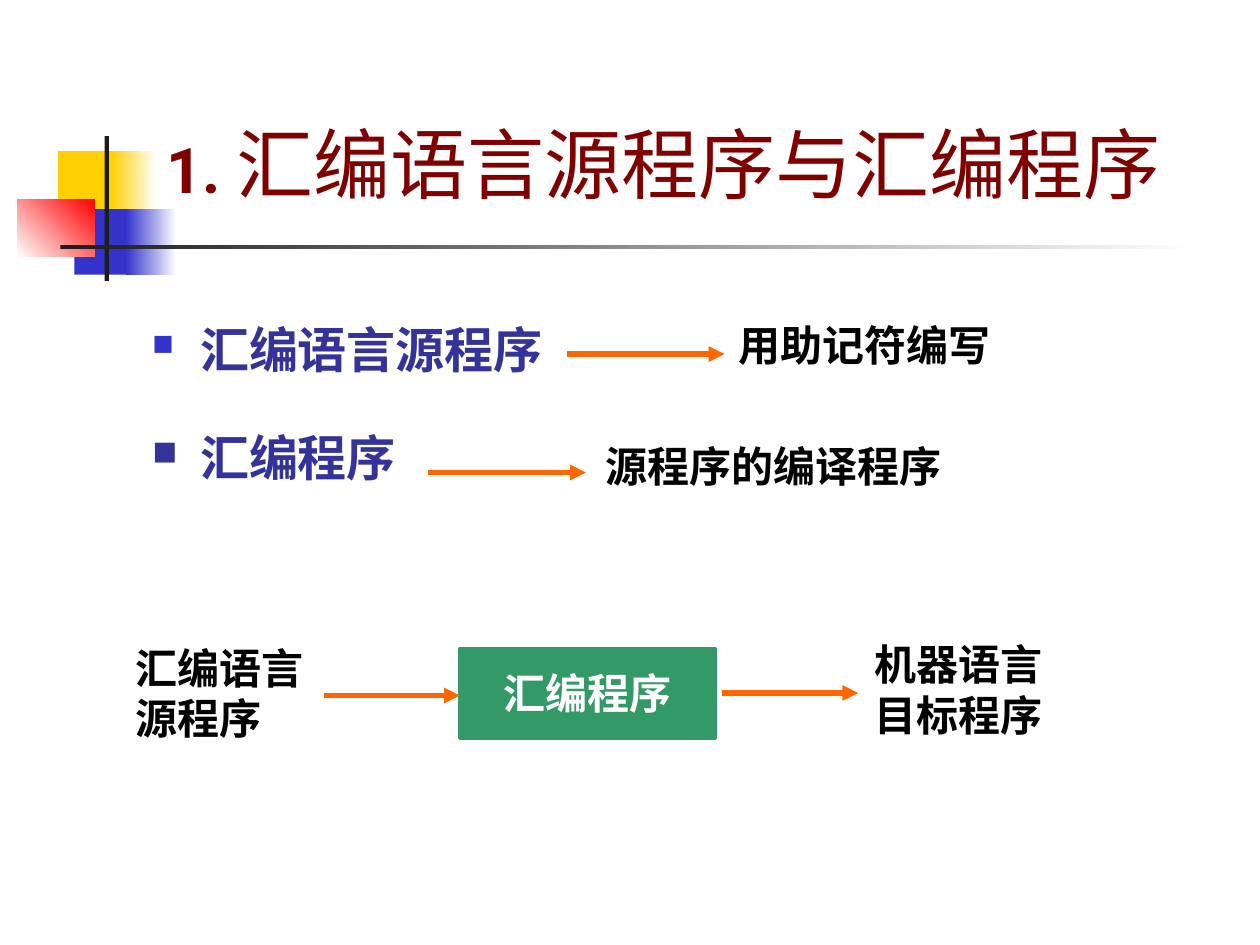
from pptx import Presentation
from pptx.dml.color import RGBColor as Rgb
from pptx.enum.shapes import MSO_CONNECTOR as Connector, MSO_SHAPE as Shape
from pptx.enum.text import MSO_ANCHOR as Anchor
from pptx.oxml.ns import qn
from pptx.util import Inches, Pt
from lxml.etree import SubElement

COLORS = {
    "yellow": "FFCF01", "blue": "3333CC", "red": "FF0000", "white": "FFFFFF",
    "ink": "1C1C1C", "maroon": "800000", "indigo": "333399",
    "black": "000000", "orange": "FF6600", "green": "339966",
}

# Text formats: font attributes plus a colour name
NUMBER = {"name": "Roboto", "size": Pt(36), "bold": True, "color": "maroon"}
TITLE = {**NUMBER, "size": Pt(44), "bold": False}
TERM = {"name": "Roboto", "size": Pt(28), "bold": True, "color": "indigo"}
NOTE = {"name": "Times New Roman", "size": Pt(24), "bold": True, "color": "black"}
STEP = {**NOTE, "name": "Arial", "color": "white"}


def grid(*cells):
    """Turn cells of a 100 by 75 grid into lengths."""
    return [Inches(cell / 10) for cell in cells]


def rgb(name):
    return Rgb.from_string(COLORS[name])


def add_block(page, cells, start, end=None, angle=0):
    """Add a rectangle, plain or fading from start to end."""
    block = page.shapes.add_shape(Shape.RECTANGLE, *grid(*cells))
    block.shadow.inherit = False
    block.line.fill.background()
    if end:
        block.fill.gradient()
        block.fill.gradient_angle = angle
        for stop, name in zip(block.fill.gradient_stops, (start, end)):
            stop.color.rgb = rgb(name)
    else:
        block.fill.solid()
        block.fill.fore_color.rgb = rgb(start)
    return block


def add_span(para, text, style):
    span = para.add_run()
    span.text = text
    for key, value in style.items():
        if key == "color":
            span.font.color.rgb = rgb(value)
        else:
            setattr(span.font, key, value)


def add_box(page, cells, spans=(), anchor=Anchor.TOP):
    """Add a wrapping text box whose first paragraph holds the spans."""
    frame = page.shapes.add_textbox(*grid(*cells)).text_frame
    frame.word_wrap = True
    frame.vertical_anchor = anchor
    for text, style in spans:
        add_span(frame.paragraphs[0], text, style)
    return frame


def add_bullet(para, color, percent):
    props = para._p.get_or_add_pPr()
    props.set("marL", str(Inches(0.38)))
    props.set("indent", str(-Inches(0.38)))
    tint = SubElement(props, qn("a:buClr"))
    SubElement(tint, qn("a:srgbClr"), val=COLORS[color])
    SubElement(props, qn("a:buSzPct"), val=str(percent * 1000))
    SubElement(props, qn("a:buChar"), char="■")


def add_terms(page, cells, terms):
    """Add the bulleted list of terms."""
    frame = add_box(page, cells)
    for index, (text, color, percent) in enumerate(terms):
        para = frame.add_paragraph() if index else frame.paragraphs[0]
        spacing = {"line_spacing": 1.1, "space_before": Pt(25 if index else 0)}
        for key, value in spacing.items():
            setattr(para, key, value)
        add_bullet(para, color, percent)
        add_span(para, text, TERM)


def add_arrow(page, left, row, length):
    arrow = page.shapes.add_connector(
        Connector.STRAIGHT, *grid(left, row, left + length, row))
    arrow.line.color.rgb = rgb("orange")
    arrow.line.width = Pt(3)
    SubElement(arrow.line._get_or_add_ln(), qn("a:tailEnd"), type="triangle")
    SubElement(arrow._element.spPr, qn("a:effectLst"))


def add_ornament(page):
    """Add the coloured squares and the crossing bars beside the title."""
    add_block(page, (4.6, 12, 4.8, 5.2), "yellow")
    add_block(page, (8.8, 12, 3.6, 5.2), "yellow", "white")
    add_block(page, (5.9, 16.6, 4.6, 5.2), "blue")
    add_block(page, (10, 16.6, 4, 5.2), "blue", "white")
    add_block(page, (1.4, 15.8, 6.1, 4.6), "white", "red", 45)
    add_block(page, (8.3, 10.8, 0.35, 11.5), "ink")
    add_block(page, (4.8, 19.45, 90, 0.35), "ink", "white")


def main():
    deck = Presentation()
    deck.slide_width, deck.slide_height = grid(100, 75)
    page = deck.slides.add_slide(deck.slide_layouts[6])

    add_ornament(page)
    add_box(page, (12.2, 5.8, 82.7, 11.3),
            [("1. ", NUMBER), ("汇编语言源程序与汇编程序", TITLE)], Anchor.BOTTOM)

    # Terms and their meanings
    add_terms(page, (11.1, 24.4, 37.1, 18.6),
              [("汇编语言源程序", "blue", 60), ("汇编程序", "indigo", 70)])
    add_box(page, (57.6, 24.9, 27.5, 5.7), [("用助记符编写", NOTE)])
    add_box(page, (47.1, 34.5, 35.4, 5.7), [("源程序的编译程序", NOTE)])
    for left, row in ((45, 28.1), (34, 37.5)):
        add_arrow(page, left, row, 12.5)

    # Flow from source program to target program
    step = add_block(page, (36.5, 51.5, 20.3, 7.1), "green")
    step.line.color.rgb = rgb("green")
    step.line.width = Pt(2)
    add_box(page, (39, 52.5, 20.8, 5), [("汇编程序", STEP)])
    add_box(page, (9.8, 50.5, 17.5, 9), [("汇编语言源程序", NOTE)])
    add_box(page, (68.4, 50.2, 18.3, 9), [("机器语言目标程序", NOTE)])
    for left, row in ((25.7, 55.2), (57.3, 55)):
        add_arrow(page, left, row, 10.8)

    deck.save("out.pptx")


if __name__ == "__main__":
    main()
